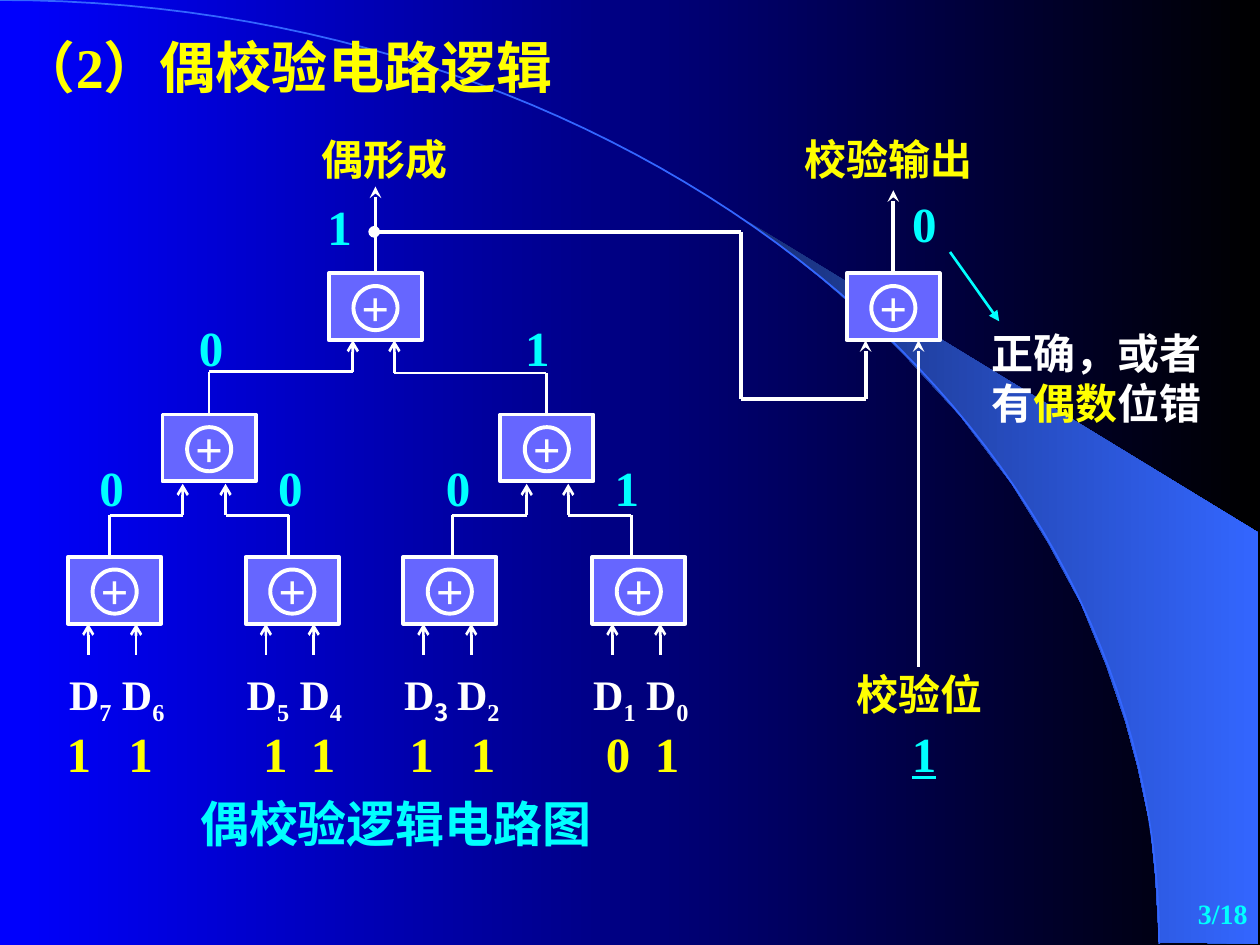
from lxml.etree import SubElement
from pptx import Presentation
from pptx.dml.color import RGBColor
from pptx.enum.shapes import MSO_CONNECTOR, MSO_SHAPE
from pptx.enum.text import MSO_ANCHOR, PP_ALIGN
from pptx.oxml.ns import qn
from pptx.util import Inches, Pt

rgb = RGBColor.from_string
WHITE, YELLOW, CYAN, BLUE = "FFFFFF", "FFFF00", "00FFFF", "3366FF"
LATIN, CHINESE = "Times New Roman", "Noto Sans CJK SC"

prs = Presentation()
prs.slide_width, prs.slide_height = Inches(10), Inches(7.5)
slide = prs.slides.add_slide(prs.slide_layouts[6])
shapes = slide.shapes


def add_label(x, y, w, h, runs, size, tabs=()):
    """Add one bold paragraph; runs are (text, colour) pairs, tabs are in inches."""
    box = shapes.add_textbox(Inches(x), Inches(y), Inches(w), Inches(h))
    box.text_frame.word_wrap = True
    paragraph = box.text_frame.paragraphs[0]
    if tabs:
        stops = SubElement(paragraph._p.get_or_add_pPr(), qn("a:tabLst"))
        for stop in tabs:
            SubElement(stops, qn("a:tab"), pos=str(Inches(stop)), algn="l")
    font = paragraph.font
    font.size, font.bold, font.name = Pt(size), True, LATIN
    font.color.rgb = rgb(runs[0][1])
    SubElement(paragraph._p.pPr.find(qn("a:defRPr")), qn("a:ea"), typeface=CHINESE)
    for text, colour in runs:
        run = paragraph.add_run()
        run.text = text
        if colour != runs[0][1]:
            run.font.color.rgb = rgb(colour)
    return box


def add_wire(x1, y1, x2, y2, width=1.5, head=None, tail=None, colour=WHITE):
    """Add a straight wire; head and tail name the arrowheads at its start and end."""
    wire = shapes.add_connector(MSO_CONNECTOR.STRAIGHT, Inches(x1), Inches(y1),
                                Inches(x2), Inches(y2))
    wire.line.width = Pt(width)
    wire.line.color.rgb = rgb(colour)
    for tag, kind in (("a:headEnd", head), ("a:tailEnd", tail)):
        if kind:
            SubElement(wire.line._get_or_add_ln(), qn(tag), type=kind)
    SubElement(wire._element.spPr, qn("a:effectLst"))
    return wire


# Background: gradient, swoosh and arc
backdrop = slide.background.fill
backdrop.gradient()
backdrop.gradient_angle = 0
for stop, colour in zip(backdrop.gradient_stops, ("0000FF", "000000")):
    stop.color.rgb = rgb(colour)

swoosh_points = [
    (9.2, 7.48), (9.99, 7.49), (9.99, 4.23), (5.89, 1.73), (6.24, 1.99), (6.53, 2.22),
    (6.85, 2.5), (7.16, 2.8), (7.62, 3.3), (8.03, 3.84), (8.32, 4.31), (8.58, 4.79),
    (8.78, 5.28), (8.93, 5.72), (9.03, 6.09), (9.13, 6.56), (9.17, 6.96)]
arc_steps = [i / 60 for i in range(61)]
arc_points = [(3 * 5.08 * t * (1 - t) ** 2 + 3 * 9.2 * t ** 2 * (1 - t) + 9.2 * t ** 3,
               3 * 3.35 * t ** 2 * (1 - t) + 7.49 * t ** 3) for t in arc_steps]
outlines = []
for points, closed in ((swoosh_points, True), (arc_points, False)):
    corners = [(Inches(x), Inches(y)) for x, y in points]
    builder = shapes.build_freeform(*corners[0])
    builder.add_line_segments(corners[1:], close=closed)
    outline = builder.convert_to_shape()
    outline.shadow.inherit = False
    outlines.append(outline)
swoosh, arc = outlines
swoosh.line.fill.background()
swoosh.fill.gradient()
swoosh.fill.gradient_angle = 0
for stop, colour in zip(swoosh.fill.gradient_stops, ("182F76", BLUE)):
    stop.color.rgb = rgb(colour)
arc.fill.background()
arc.line.color.rgb = rgb(BLUE)
arc.line.width = Pt(1)

add_label(0.06, 0.21, 5.33, 0.64, [("（2）偶校验电路逻辑", YELLOW)], 32)

# XOR gates: four inputs pairs, two middle gates, the even former and the checker
GATE_W, GATE_H, RING = 0.74, 0.53, 0.35
leaf_lefts = [0.54, 1.95, 3.2, 4.7]
gates = []
for left, top in [(x, 4.42) for x in leaf_lefts] + [(1.29, 3.29), (3.97, 3.29),
                                                    (2.61, 2.17), (6.72, 2.17)]:
    gate = shapes.add_shape(MSO_SHAPE.RECTANGLE, Inches(left), Inches(top),
                            Inches(GATE_W), Inches(GATE_H))
    gate.fill.solid()
    gate.fill.fore_color.rgb = rgb("6666FF")
    frame = gate.text_frame
    frame.word_wrap = False
    frame.vertical_anchor = MSO_ANCHOR.MIDDLE
    plus = frame.paragraphs[0]
    plus.text = "+"
    plus.alignment = PP_ALIGN.CENTER
    plus.font.size, plus.font.bold, plus.font.name = Pt(28), True, LATIN
    plus.font.color.rgb = rgb(WHITE)
    ring = shapes.add_shape(MSO_SHAPE.OVAL, Inches(left + (GATE_W - RING) / 2),
                            Inches(top + 0.1), Inches(RING), Inches(RING))
    ring.fill.background()
    for part in (gate, ring):
        part.line.color.rgb = rgb(WHITE)
        part.line.width = Pt(2.25)
        part.shadow.inherit = False
    gates.append(gate)
left_gate, right_gate, former, checker = gates[4:]

# Data inputs D7 to D0
for pair, left in enumerate(leaf_lefts):
    for side, (wire_dx, label_dx, label_w) in enumerate([(0.16, -0.09, 0.58),
                                                         (0.54, 0.33, 0.67)]):
        bit = 7 - 2 * pair - side
        add_wire(left + wire_dx, 4.95, left + wire_dx, 5.2, head="arrow")
        label = add_label(left + label_dx, 5.26, label_w, 0.56,
                          [("D", WHITE), (str(bit), WHITE)], 24)
        subscript = label.text_frame.paragraphs[0].runs[1]
        subscript.font._element.set("baseline", "-25000")
        if bit == 3:
            subscript.font.name = CHINESE

# Wires from each gate up to the next level: start, bus and end
for x1, bottom, bus, x2, top, source in [
        (0.87, 4.42, 4.09, 1.45, 3.84, None), (2.29, 4.42, 4.09, 1.79, 3.84, None),
        (3.59, 4.42, 4.09, 4.18, 3.84, None), (5.01, 4.42, 4.09, 4.51, 3.84, None),
        (1.66, 3.29, 2.95, 2.8, 2.7, left_gate), (4.33, 3.29, 2.96, 3.13, 2.7, right_gate)]:
    riser = add_wire(x1, bottom, x1, bus)
    if source:
        riser.begin_connect(source, 0)
        riser.end_x = riser.begin_x
    add_wire(x1, bus, x2, bus)
    add_wire(x2, top, x2, bus, head="arrow")

# Outputs and the path into the checker
for gate, x, tip in ((former, 2.98, 1.48), (checker, 7.09, 1.51)):
    add_wire(x, 2.17, x, tip, 2.25, tail="stealth").begin_connect(gate, 0)
add_wire(2.97, 1.84, 5.88, 1.84, 2.25, head="oval")
add_wire(5.88, 1.84, 5.88, 3.17, 2.25)
add_wire(5.88, 3.17, 6.87, 3.17, 2.25)
add_wire(6.87, 2.7, 6.87, 3.17, 2.25, head="stealth")
add_wire(7.29, 2.7, 7.29, 5.29, 2.25, head="stealth")

for x, y, w, text in ((2.45, 1.01, 1.25, "偶形成"), (6.29, 1.01, 1.58, "校验输出"),
                      (6.7, 5.26, 1.25, "校验位")):
    add_label(x, y, w, 0.5, [(text, YELLOW)], 24)
add_label(1.49, 6.25, 3.5, 0.57, [("偶校验逻辑电路图", CYAN)], 28)

# Sample bits, with the check bit underlined
bits = add_label(0.43, 5.69, 7.5, 0.57,
                 [("1\t1\t1\t1\t1\t1\t0\t1\t", YELLOW), ("1", CYAN)], 28,
                 tabs=(0.49, 1.56, 1.94, 2.72, 3.21, 4.28, 4.67, 6.71))
bits.text_frame.paragraphs[0].runs[1].font.underline = True

# Gate output values
for x, y, value in ((2.5, 1.51, "1"), (7.14, 1.49, "0"), (1.48, 2.47, "0"),
                    (4.07, 2.47, "1"), (0.69, 3.58, "0"), (2.11, 3.58, "0"),
                    (3.44, 3.58, "0"), (4.78, 3.58, "1")):
    add_label(x, y, 0.55, 0.57, [(value, CYAN)], 28)

add_label(7.77, 2.55, 1.93, 0.9,
          [("正确，或者有", WHITE), ("偶数", YELLOW), ("位错", WHITE)], 24)
add_wire(7.54, 2, 7.93, 2.55, tail="triangle", colour=CYAN)

page = add_label(8.78, 7, 1.22, 0.5, [("3/18", CYAN)], 16)
page.text_frame.vertical_anchor = MSO_ANCHOR.MIDDLE
page.text_frame.paragraphs[0].alignment = PP_ALIGN.RIGHT

prs.save("out.pptx")
